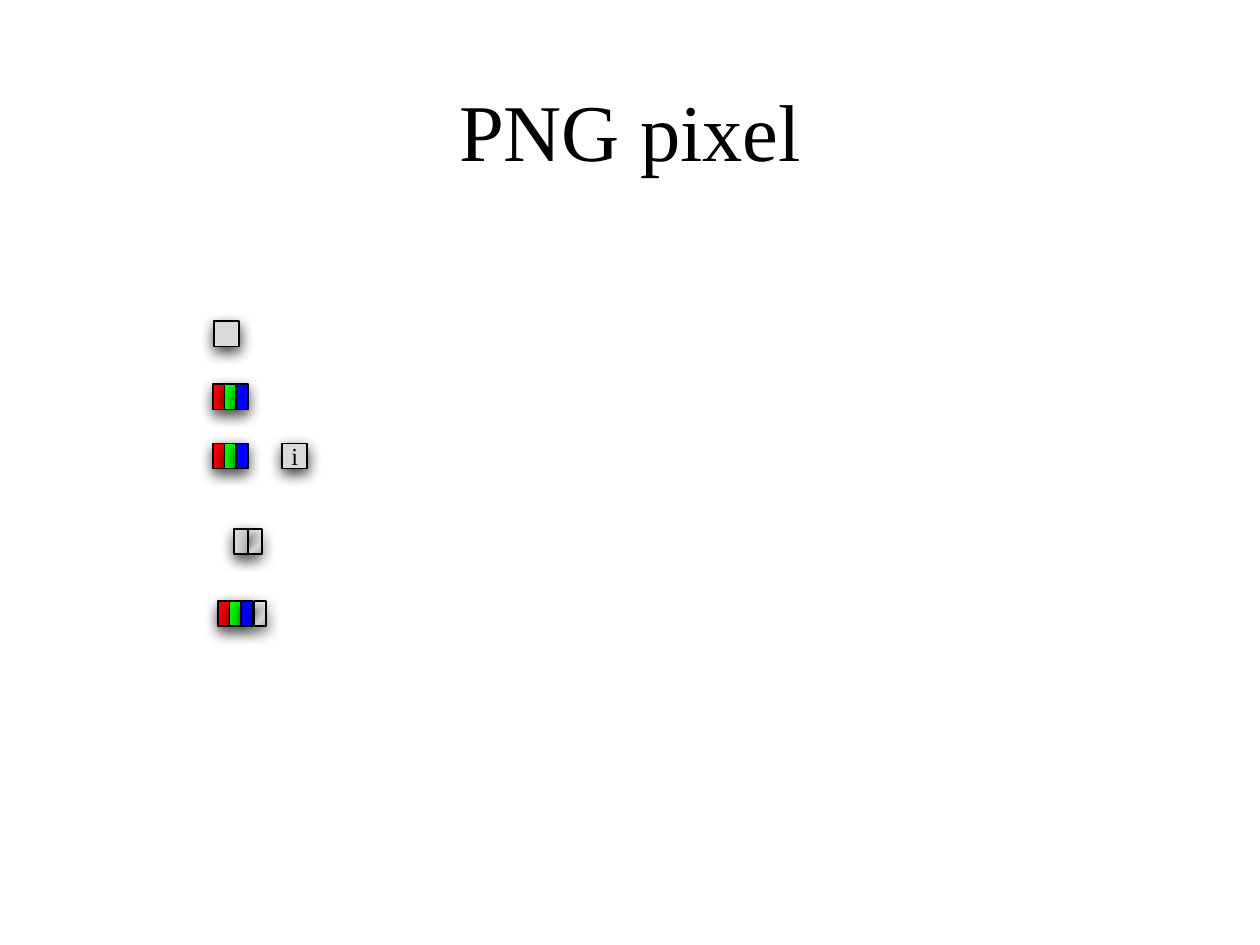
from pptx import Presentation
from pptx.dml.color import RGBColor
from pptx.enum.shapes import MSO_SHAPE
from pptx.enum.text import MSO_ANCHOR, PP_ALIGN
from pptx.oxml import parse_xml
from pptx.oxml.ns import nsdecls, qn
from pptx.util import Inches, Pt

RECTANGLE = MSO_SHAPE.RECTANGLE
MIDDLE = MSO_ANCHOR.MIDDLE
CENTER = PP_ALIGN.CENTER
FONT = "Times New Roman"
BLACK = "000000"
GREY = "D9D9D9"
RGB = ["FF0000", "00FF00", "0000FF"]
HEIGHT = 0.2
CHANNEL = 0.093


def color(value):
    """Turn a hex string into a colour."""
    return RGBColor.from_string(value)


def set_text(shape, text, size):
    """Write one centred black line of text into a shape."""
    frame = shape.text_frame
    frame.text = text
    frame.vertical_anchor = MIDDLE
    paragraph = frame.paragraphs[0]
    paragraph.alignment = CENTER
    paragraph.font.name = FONT
    paragraph.font.size = Pt(size)
    paragraph.font.color.rgb = color(BLACK)


def add_shadow(shape):
    """Give a shape a soft black shadow below it."""
    shape.shadow.inherit = False
    effects = shape._element.spPr.find(qn("a:effectLst"))
    effects.append(parse_xml(
        f'<a:outerShdw {nsdecls("a")} blurRad="{Pt(8)}" dist="{Pt(3)}" dir="5400000"'
        f' rotWithShape="0"><a:srgbClr val="{BLACK}"><a:alpha val="75000"/>'
        '</a:srgbClr></a:outerShdw>'))


def set_alpha_stripes(shape, second_stop):
    """Fill a shape with diagonal grey stripes that fade to clear."""
    stops = "".join(
        f'<a:gs pos="{position * 1000}"><a:srgbClr val="{GREY}">'
        f'<a:alpha val="{alpha * 1000}"/></a:srgbClr></a:gs>'
        for position, alpha in [(0, 100), (second_stop, 0), (66, 100), (100, 0)])
    properties = shape._element.spPr
    properties.replace(properties.find(qn("a:solidFill")), parse_xml(
        f'<a:gradFill {nsdecls("a")} rotWithShape="1"><a:gsLst>{stops}</a:gsLst>'
        '<a:lin ang="2700000" scaled="0"/></a:gradFill>'))


def add_cell(slide, left, top, width, fill=GREY):
    """Add one outlined channel cell and return it."""
    cell = slide.shapes.add_shape(
        RECTANGLE, Inches(left), Inches(top), Inches(width), Inches(HEIGHT))
    cell.fill.solid()
    cell.fill.fore_color.rgb = color(fill)
    cell.line.color.rgb = color(BLACK)
    cell.line.width = Pt(1)
    add_shadow(cell)
    return cell


def add_rgb_pixel(slide, left, top):
    """Add red, green and blue cells side by side."""
    for index, fill in enumerate(RGB):
        add_cell(slide, left + index * CHANNEL, top, CHANNEL, fill)


def add_palette_pixel(slide, left, top):
    """Add a colour entry and its index cell."""
    add_rgb_pixel(slide, left, top)
    index_cell = add_cell(slide, left + 0.55, top, HEIGHT)
    set_text(index_cell, "i", 14)
    index_cell.text_frame.word_wrap = False


def add_grey_alpha_pixel(slide, left, top):
    """Add a grey cell followed by its alpha cell."""
    width = 0.11
    add_cell(slide, left, top, width)
    set_alpha_stripes(add_cell(slide, left + width, top, width), 31)


def add_rgb_alpha_pixel(slide, left, top):
    """Add three colour cells followed by an alpha cell."""
    add_rgb_pixel(slide, left, top)
    set_alpha_stripes(add_cell(slide, left + 0.29, top, CHANNEL), 33)


def add_title(slide, text, left, top, width, height):
    """Place and format the title."""
    title = slide.shapes.title
    title.left, title.top = Inches(left), Inches(top)
    title.width, title.height = Inches(width), Inches(height)
    set_text(title, text, 46)


def main():
    """Build and save the slide."""
    presentation = Presentation()
    presentation.slide_width = Inches(10)
    presentation.slide_height = Inches(7.5)
    slide = presentation.slides.add_slide(presentation.slide_layouts[5])
    add_title(slide, "PNG pixel", 1, 0.55, 8, 0.95)
    add_rgb_pixel(slide, 1.69, 3.05)
    add_cell(slide, 1.7, 2.55, HEIGHT)
    add_palette_pixel(slide, 1.69, 3.52)
    add_grey_alpha_pixel(slide, 1.86, 4.2)
    add_rgb_alpha_pixel(slide, 1.73, 4.77)
    presentation.save("out.pptx")


main()
